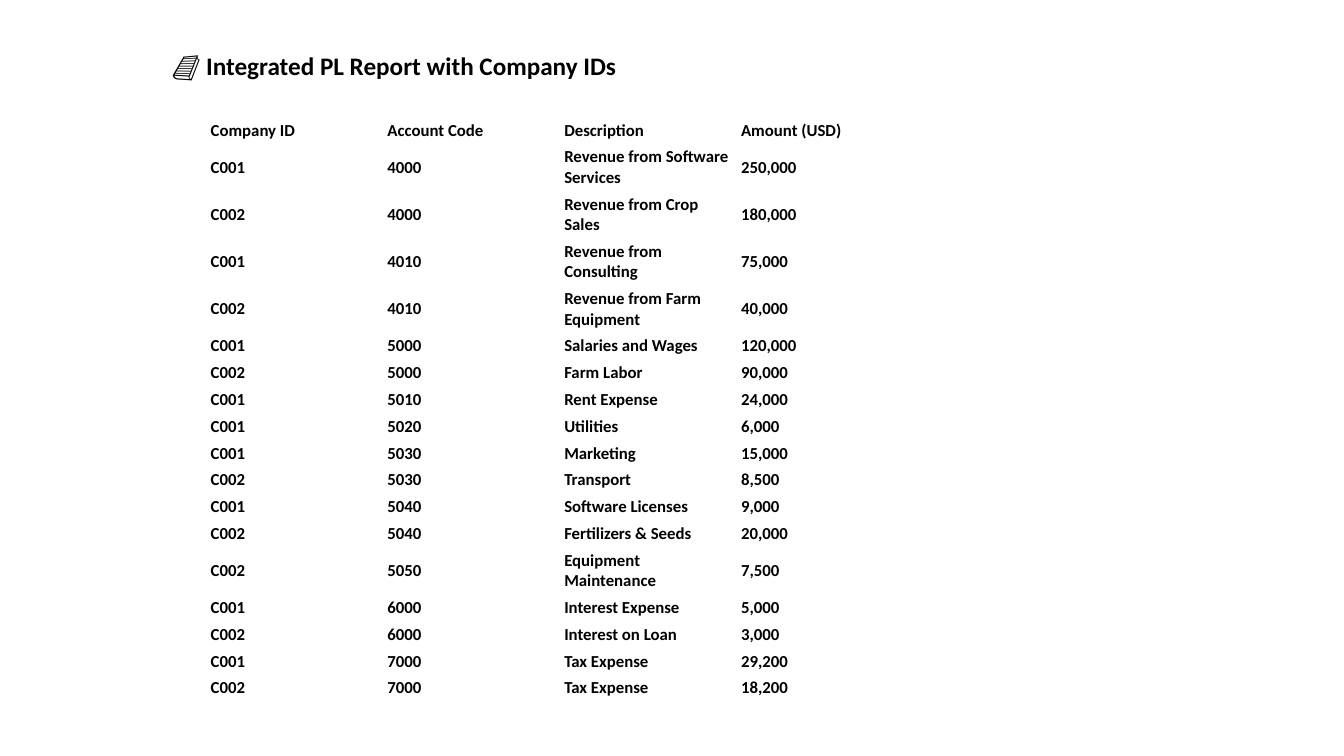
from pptx import Presentation
from pptx.dml.color import RGBColor
from pptx.enum.text import MSO_ANCHOR, MSO_AUTO_SIZE
from pptx.util import Pt

BLACK = RGBColor(0x00, 0x00, 0x00)
FONT = "Calibri"

HEADINGS = ("Company ID", "Account Code", "Description", "Amount (USD)")
ENTRIES = [
    ("C001", "4000", "Revenue from Software Services", "250,000"),
    ("C002", "4000", "Revenue from Crop Sales", "180,000"),
    ("C001", "4010", "Revenue from Consulting", "75,000"),
    ("C002", "4010", "Revenue from Farm Equipment", "40,000"),
    ("C001", "5000", "Salaries and Wages", "120,000"),
    ("C002", "5000", "Farm Labor", "90,000"),
    ("C001", "5010", "Rent Expense", "24,000"),
    ("C001", "5020", "Utilities", "6,000"),
    ("C001", "5030", "Marketing", "15,000"),
    ("C002", "5030", "Transport", "8,500"),
    ("C001", "5040", "Software Licenses", "9,000"),
    ("C002", "5040", "Fertilizers & Seeds", "20,000"),
    ("C002", "5050", "Equipment Maintenance", "7,500"),
    ("C001", "6000", "Interest Expense", "5,000"),
    ("C002", "6000", "Interest on Loan", "3,000"),
    ("C001", "7000", "Tax Expense", "29,200"),
    ("C002", "7000", "Tax Expense", "18,200"),
]
ROW_HEIGHT = 17.28
TALL_ROW_HEIGHT = 31
TALL_ROWS = (1, 4)


def add_run(paragraph, text, size, bold):
    run = paragraph.add_run()
    run.text = text
    run.font.name = FONT
    run.font.size = Pt(size)
    run.font.bold = bold
    run.font.color.rgb = BLACK


def add_title(slide, left, top, width, height):
    title = slide.shapes.add_textbox(Pt(left), Pt(top), Pt(width), Pt(height))
    frame = title.text_frame
    frame.word_wrap = True
    frame.auto_size = MSO_AUTO_SIZE.SHAPE_TO_FIT_TEXT
    add_run(frame.paragraphs[0], "📘 ", 18, False)
    add_run(frame.paragraphs[0], "Integrated PL Report with Company IDs", 18, True)


def fill_cell(cell, text):
    cell.fill.background()
    cell.vertical_anchor = MSO_ANCHOR.MIDDLE
    cell.margin_left = cell.margin_right = Pt(4.5)
    cell.margin_top = cell.margin_bottom = Pt(2.25)
    add_run(cell.text_frame.paragraphs[0], text, 12, True)


def add_ledger(slide, left, top, width, height):
    lines = [HEADINGS, *ENTRIES]
    ledger_frame = slide.shapes.add_table(
        len(lines), len(HEADINGS), Pt(left), Pt(top), Pt(width), Pt(height))
    ledger = ledger_frame.table
    ledger.first_row = False
    ledger.horz_banding = False

    # Entries
    for index, line in enumerate(lines):
        row = ledger.rows[index]
        row.height = Pt(TALL_ROW_HEIGHT if index in TALL_ROWS else ROW_HEIGHT)
        for cell, text in zip(row.cells, line):
            fill_cell(cell, text)

    # Room for the wrapped descriptions
    ledger_frame.height = Pt(height)


def main():
    report = Presentation()
    report.slide_width = Pt(960)
    report.slide_height = Pt(540)
    slide = report.slides.add_slide(report.slide_layouts[6])
    add_ledger(slide, 146, 83.5, 505.2, 410.4)
    add_title(slide, 116, 32.6, 480, 29)
    report.save("out.pptx")


if __name__ == "__main__":
    main()
